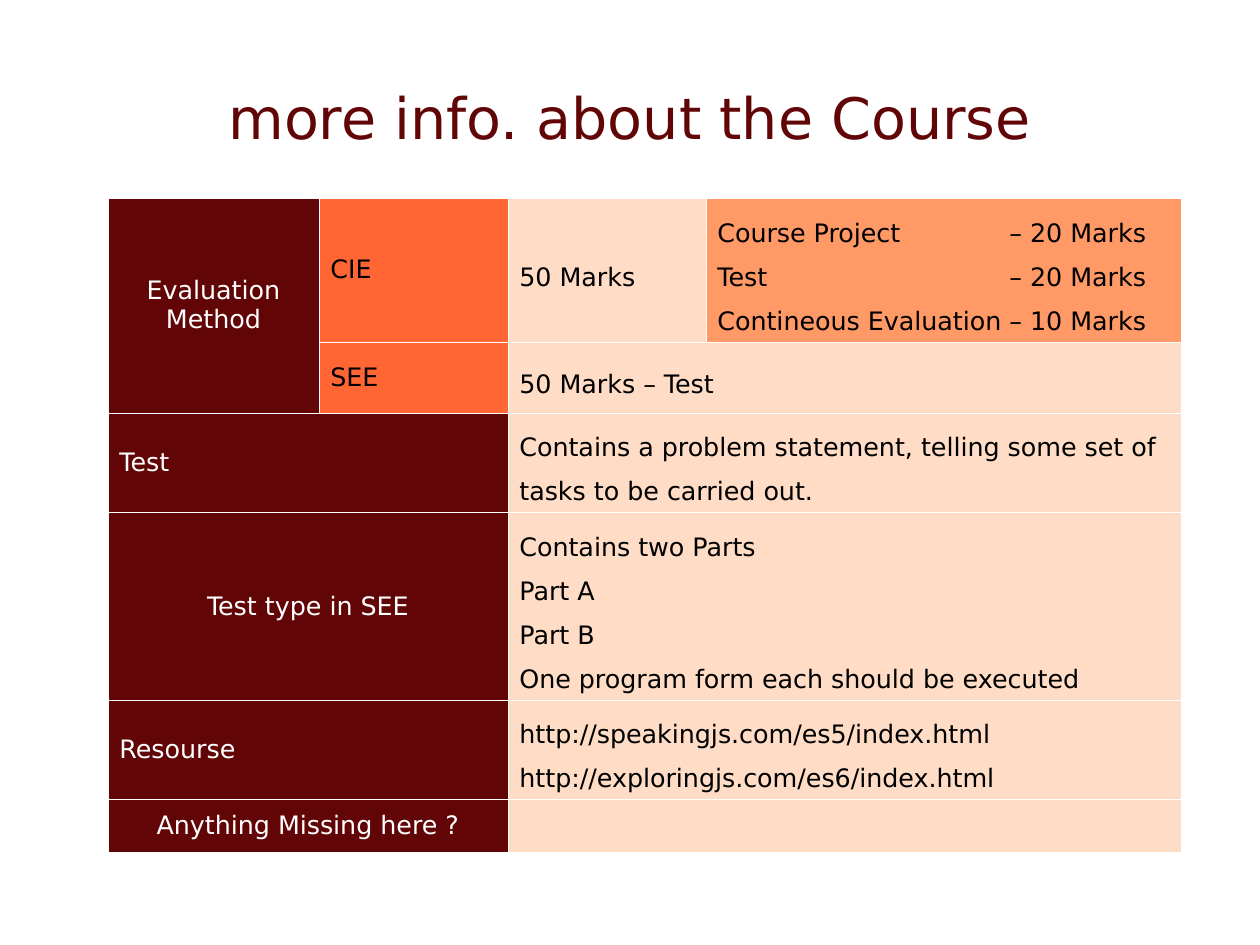
from dataclasses import dataclass

from lxml.etree import SubElement
from pptx import Presentation
from pptx.dml.color import RGBColor
from pptx.enum.text import MSO_ANCHOR, PP_ALIGN
from pptx.oxml import parse_xml
from pptx.oxml.ns import nsdecls, qn
from pptx.util import Pt

EMU_PER_PX = 8000


def px(length):
    return length * EMU_PER_PX


@dataclass(frozen=True)
class Theme:
    font: str = "DejaVu Sans"
    title_size: int = 36
    body_size: int = 16
    maroon: str = "610506"
    orange: str = "FF6633"
    apricot: str = "FF9966"
    peach: str = "FEDCC6"
    white: str = "FFFFFF"
    black: str = "000000"
    border_emu: int = 720


THEME = Theme()

COLUMN_WIDTHS = (211, 189, 198, 475)
ROW_HEIGHTS = (144, 71, 99, 187, 99, 53)
MARKS_TAB = 292


@dataclass(frozen=True)
class Entry:
    """One table cell: top-left grid place, text and the rows and columns it covers."""
    row: int
    column: int
    text: str
    fill: str = THEME.peach
    color: str = THEME.black
    rows: int = 1
    columns: int = 1
    align: PP_ALIGN = PP_ALIGN.LEFT
    spacing: float = 1.5


def heading(row, text, align=PP_ALIGN.LEFT, rows=1, columns=2):
    return Entry(row, 0, text, THEME.maroon, THEME.white, rows, columns, align, 1.0)


def exam(row, text):
    return Entry(row, 1, text, THEME.orange, spacing=1.0)


def detail(row, text):
    return Entry(row, 2, text, columns=2)


ENTRIES = (
    heading(0, "Evaluation\nMethod", PP_ALIGN.CENTER, rows=2, columns=1),
    exam(0, "CIE"),
    Entry(0, 2, "50 Marks"),
    Entry(0, 3, "Course Project\t– 20 Marks\nTest\t– 20 Marks\n"
                "Contineous Evaluation\t– 10 Marks", THEME.apricot),
    exam(1, "SEE"),
    detail(1, "50 Marks – Test"),
    heading(2, "Test"),
    detail(2, "Contains a problem statement, telling some set of tasks to be carried out."),
    heading(3, "Test type in SEE", PP_ALIGN.CENTER),
    detail(3, "Contains two Parts\nPart A\nPart B\nOne program form each should be executed"),
    heading(4, "Resourse"),
    detail(4, "http://speakingjs.com/es5/index.html\nhttp://exploringjs.com/es6/index.html"),
    heading(5, "Anything Missing here ?", PP_ALIGN.CENTER),
    detail(5, ""),
)


def style_font(font, size, color):
    font.name = THEME.font
    font.size = Pt(size)
    font.color.rgb = RGBColor.from_string(color)


def add_tab_stop(paragraph, position):
    properties = paragraph._p.get_or_add_pPr()
    stops = SubElement(properties, qn("a:tabLst"))
    SubElement(stops, qn("a:tab"), pos=str(px(position)), algn="l")


def add_borders(cell):
    properties = cell._tc.get_or_add_tcPr()
    for index, side in enumerate(("lnL", "lnR", "lnT", "lnB")):
        properties.insert(index, parse_xml(
            f'<a:{side} {nsdecls("a")} w="{THEME.border_emu}"><a:solidFill>'
            f'<a:srgbClr val="{THEME.white}"/></a:solidFill></a:{side}>'))


def fill_entry(table, entry):
    cell = table.cell(entry.row, entry.column)
    if entry.rows * entry.columns > 1:
        cell.merge(table.cell(entry.row + entry.rows - 1,
                              entry.column + entry.columns - 1))
    cell.fill.solid()
    cell.fill.fore_color.rgb = RGBColor.from_string(entry.fill)
    cell.vertical_anchor = MSO_ANCHOR.MIDDLE
    cell.text_frame.text = entry.text
    for paragraph in cell.text_frame.paragraphs:
        paragraph.alignment = entry.align
        paragraph.line_spacing = entry.spacing
        if "\t" in paragraph.text:
            add_tab_stop(paragraph, MARKS_TAB)
        for run in paragraph.runs:
            style_font(run.font, THEME.body_size, entry.color)


def place_title(slide, left, top, width, height):
    title = slide.shapes.title
    title.left, title.top = px(left), px(top)
    title.width, title.height = px(width), px(height)
    frame = title.text_frame
    frame.margin_left = frame.margin_right = 0
    frame.margin_top = frame.margin_bottom = 0
    frame.vertical_anchor = MSO_ANCHOR.MIDDLE
    frame.text = "more info. about the Course"
    frame.paragraphs[0].alignment = PP_ALIGN.CENTER
    style_font(frame.paragraphs[0].runs[0].font, THEME.title_size, THEME.maroon)


def add_course_table(slide, left, top):
    table = slide.shapes.add_table(
        len(ROW_HEIGHTS), len(COLUMN_WIDTHS), px(left), px(top),
        px(sum(COLUMN_WIDTHS)), px(sum(ROW_HEIGHTS))).table
    table.first_row = table.horz_banding = False
    for column, width in zip(table.columns, COLUMN_WIDTHS):
        column.width = px(width)
    for row, height in zip(table.rows, ROW_HEIGHTS):
        row.height = px(height)
    for entry in ENTRIES:
        fill_entry(table, entry)
    for cell in table.iter_cells():
        add_borders(cell)


def main():
    presentation = Presentation()
    presentation.slide_width, presentation.slide_height = px(1260), px(945)
    slide = presentation.slides.add_slide(presentation.slide_layouts[5])
    place_title(slide, 63, 38, 1134, 158)
    add_course_table(slide, 108, 198)
    presentation.save("out.pptx")


if __name__ == "__main__":
    main()
